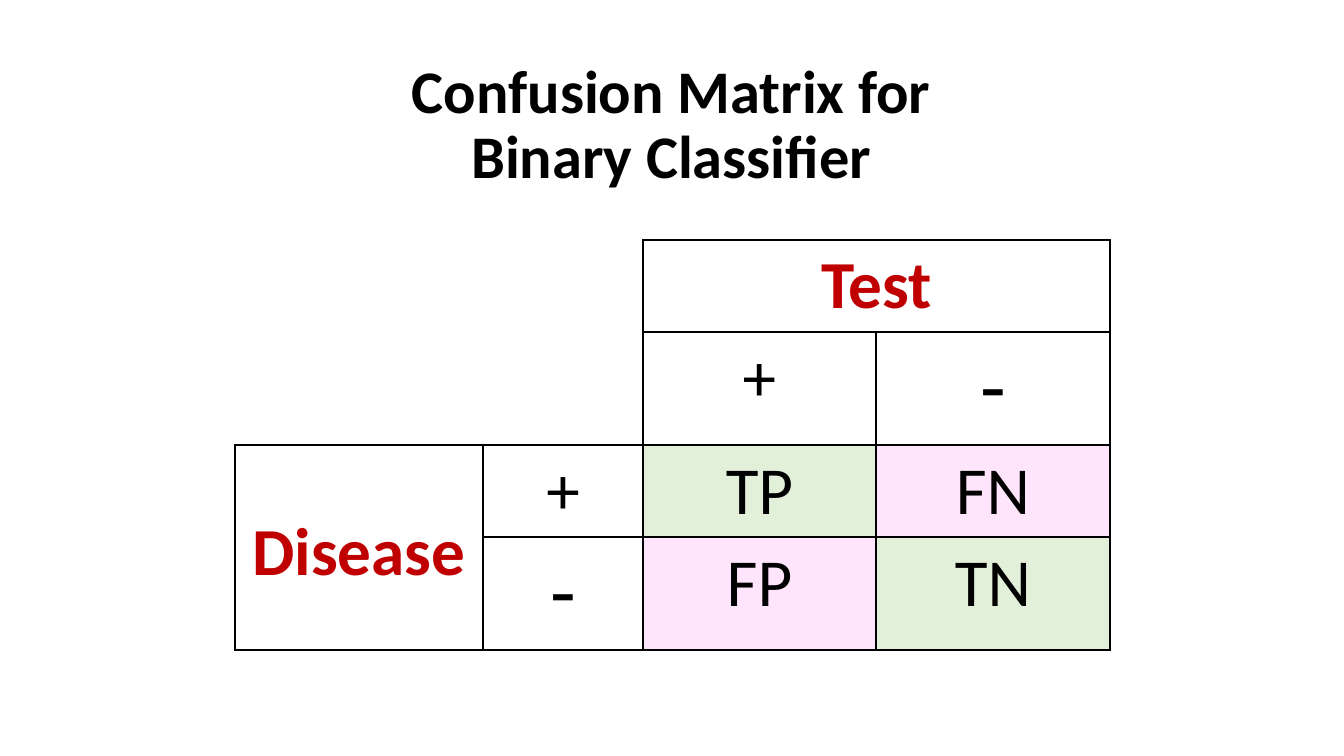
import dataclasses
import typing

import pptx
import pptx.dml.color
import pptx.enum.text
import pptx.oxml
import pptx.oxml.ns
import pptx.util

PX = pptx.util.Inches(1) / 100.8


@dataclasses.dataclass(frozen=True)
class Theme:
    font: str = "Calibri"
    ink: str = "000000"
    accent: str = "C00000"
    correct: str = "E2F0D9"
    wrong: str = "FFE5FB"
    title_size: float = 43.2
    cell_size: float = 48
    minus_size: float = 60
    border: float = 1


@dataclasses.dataclass(frozen=True)
class Entry:
    row: int
    col: int
    text: str
    heading: bool = False
    fill: typing.Optional[str] = None
    rows: int = 1
    cols: int = 1
    top: int = 5


THEME = Theme()
COL_WIDTHS = [248, 160, 233, 234]
ROW_HEIGHTS = [92, 113, 92, 113]
HEADER_ROWS = HEADER_COLS = 2
ENTRIES = [
    Entry(0, 2, "Test", heading=True, cols=2),
    Entry(1, 2, "+"),
    Entry(1, 3, "-"),
    Entry(2, 0, "Disease", heading=True, rows=2, top=66),
    Entry(2, 1, "+"),
    Entry(2, 2, "TP", fill=THEME.correct),
    Entry(2, 3, "FN", fill=THEME.wrong),
    Entry(3, 1, "-"),
    Entry(3, 2, "FP", fill=THEME.wrong),
    Entry(3, 3, "TN", fill=THEME.correct),
]


def px(n: int) -> pptx.util.Emu:
    return pptx.util.Emu(round(n * PX))


def rgb(color: str) -> pptx.dml.color.RGBColor:
    return pptx.dml.color.RGBColor.from_string(color)


def format_text(tf, size: float, color: str, bold: bool) -> None:
    for p in tf.paragraphs:
        p.alignment = pptx.enum.text.PP_ALIGN.CENTER
        for r in p.runs:
            r.font.name = THEME.font
            r.font.size = pptx.util.Pt(size)
            r.font.bold = bold
            r.font.color.rgb = rgb(color)


def draw_borders(cell, row: int, col: int) -> None:
    blank = row < HEADER_ROWS and col < HEADER_COLS
    visible = {
        "L": not blank,
        "R": not blank or col == HEADER_COLS - 1,
        "T": not blank,
        "B": not blank or row == HEADER_ROWS - 1,
    }
    tcPr = cell._tc.get_or_add_tcPr()
    ns = pptx.oxml.ns.nsdecls("a")
    width = pptx.util.Pt(THEME.border)
    for side, shown in visible.items():
        paint = f'<a:solidFill><a:srgbClr val="{THEME.ink}"/></a:solidFill>' if shown else "<a:noFill/>"
        tcPr.append(pptx.oxml.parse_xml(f'<a:ln{side} {ns} w="{width}">{paint}</a:ln{side}>'))


def fill_entry(table, entry: Entry) -> None:
    cell = table.cell(entry.row, entry.col)
    if entry.rows > 1 or entry.cols > 1:
        cell.merge(table.cell(entry.row + entry.rows - 1, entry.col + entry.cols - 1))
    cell.text_frame.text = entry.text
    cell.margin_top = px(entry.top)
    size = THEME.minus_size if entry.text == "-" else THEME.cell_size
    color = THEME.accent if entry.heading else THEME.ink
    format_text(cell.text_frame, size, color, entry.heading)
    if entry.fill:
        cell.fill.solid()
        cell.fill.fore_color.rgb = rgb(entry.fill)


def add_title(s, text: str) -> None:
    sp = s.shapes.title
    sp.left, sp.top, sp.width, sp.height = px(352), px(53), px(639), px(147)
    tf = sp.text_frame
    tf.text = text
    tf.word_wrap = True
    tf.auto_size = pptx.enum.text.MSO_AUTO_SIZE.NONE
    tf.vertical_anchor = pptx.enum.text.MSO_ANCHOR.MIDDLE
    tf.paragraphs[0].line_spacing = 0.9
    format_text(tf, THEME.title_size, THEME.ink, True)


def add_matrix(s) -> None:
    frame = s.shapes.add_table(
        len(ROW_HEIGHTS), len(COL_WIDTHS),
        px(235), px(240), px(sum(COL_WIDTHS)), px(sum(ROW_HEIGHTS)),
    )
    table = frame.table
    table.first_row = table.horz_banding = False
    for column, width in zip(table.columns, COL_WIDTHS):
        column.width = px(width)
    for row, height in zip(table.rows, ROW_HEIGHTS):
        row.height = px(height)
    for row in range(len(ROW_HEIGHTS)):
        for col in range(len(COL_WIDTHS)):
            cell = table.cell(row, col)
            draw_borders(cell, row, col)
            cell.fill.background()
    for entry in ENTRIES:
        fill_entry(table, entry)


prs = pptx.Presentation()
prs.slide_width, prs.slide_height = px(1344), px(756)
s = prs.slides.add_slide(prs.slide_layouts[5])
add_title(s, "Confusion Matrix for Binary Classifier")
add_matrix(s)
prs.save("out.pptx")
